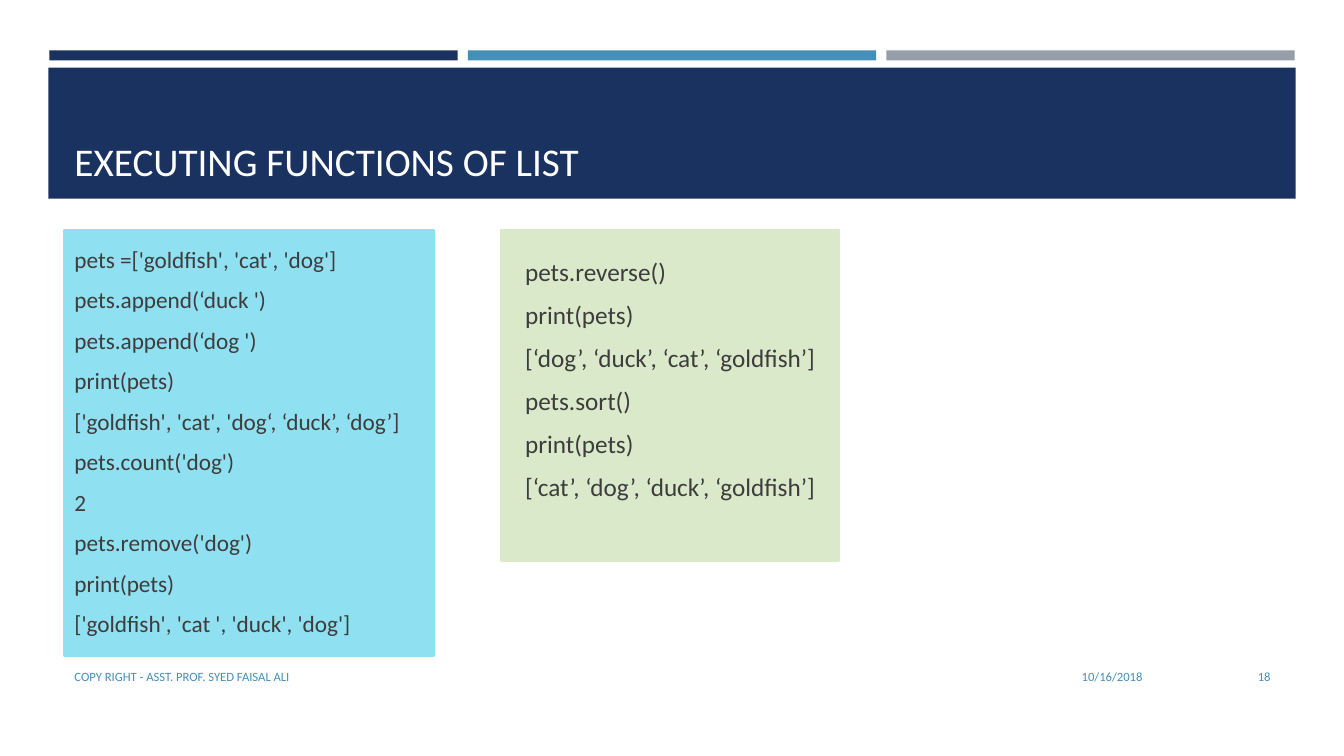
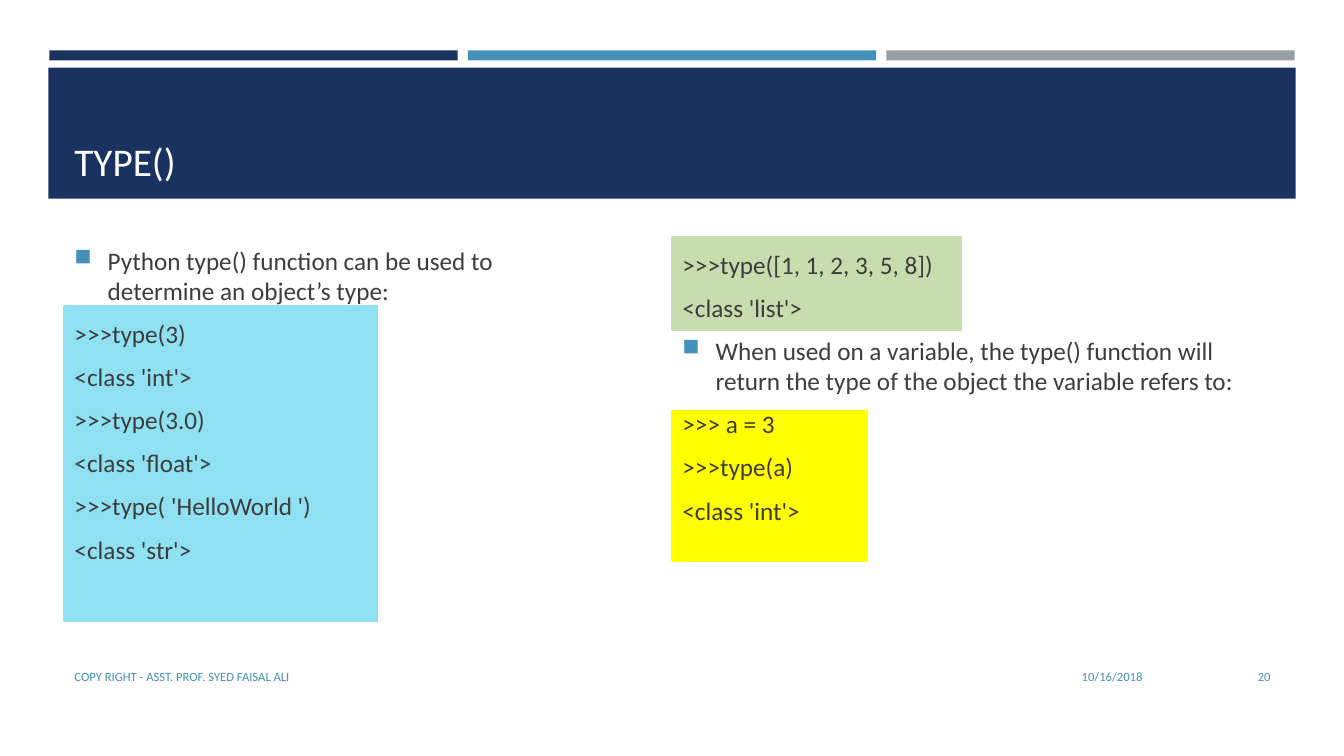
import pptx
import pptx.util
import pptx.dml.color
import pptx.enum.shapes
import pptx.enum.text
import pptx.oxml.ns
from lxml import etree

Inches = pptx.util.Inches
Pt = pptx.util.Pt
RGBColor = pptx.dml.color.RGBColor
ALIGN = pptx.enum.text.PP_ALIGN
ANCHOR = pptx.enum.text.MSO_ANCHOR

FONT = "Calibri"
NAVY = RGBColor(0x1A, 0x32, 0x60)
BLUE = RGBColor(0x45, 0x90, 0xB8)
GRAY = RGBColor(0x96, 0x9F, 0xA7)
WHITE = RGBColor(0xFF, 0xFF, 0xFF)
TEXT = RGBColor(0x3D, 0x3D, 0x3D)
CYAN = RGBColor(0x8F, 0xE0, 0xF1)
PALE_GREEN = RGBColor(0xDA, 0xE9, 0xC9)
GREEN = RGBColor(0xC7, 0xDD, 0xAD)
YELLOW = RGBColor(0xFF, 0xFF, 0x00)

BULLET = "■ "
LEFT = 0.64
FOOTER_TOP, FOOTER_HEIGHT = 6.51, 0.4


def add_rect(s, box, color, outlined=False):
    sp = s.shapes.add_shape(pptx.enum.shapes.MSO_SHAPE.RECTANGLE, *map(Inches, box))
    sp.shadow.inherit = False
    sp.fill.solid()
    sp.fill.fore_color.rgb = color
    if outlined:
        sp.line.color.rgb = color
        sp.line.width = Pt(1.75)
    else:
        sp.line.fill.background()


def add_text(s, box, lines, size, color, align=ALIGN.LEFT, anchor=ANCHOR.TOP):
    tf = s.shapes.add_textbox(*map(Inches, box)).text_frame
    tf.word_wrap = True
    tf.vertical_anchor = anchor
    tf.text = "\n".join(line.removeprefix(BULLET) for line in lines)
    for p in tf.paragraphs:
        p.alignment = align
        for r in p.runs:
            r.font.name = FONT
            r.font.size = Pt(size)
            r.font.color.rgb = color
    return tf


def add_bullet(p):
    pPr = p._p.get_or_add_pPr()
    pPr.set("marL", str(Inches(0.33)))
    pPr.set("indent", str(Inches(-0.33)))
    qn = pptx.oxml.ns.qn
    clr = etree.SubElement(pPr, qn("a:buClr"))
    etree.SubElement(clr, qn("a:srgbClr"), val=str(BLUE))
    etree.SubElement(pPr, qn("a:buSzPct"), val="92000")
    etree.SubElement(pPr, qn("a:buChar"), char=BULLET.strip())


def add_body(s, box, lines, size=18):
    tf = add_text(s, box, lines, size, TEXT)
    for p, line in zip(tf.paragraphs, lines):
        p.space_before = Pt(round(size * 0.18, 1))
        p.space_after = Pt(6)
        if line.startswith(BULLET):
            add_bullet(p)


def add_footer(s, number):
    for left, width, text, align in (
        (LEFT, 7.56, "COPY RIGHT - ASST. PROF. SYED FAISAL ALI", ALIGN.LEFT),
        (8.32, 3.11, "10/16/2018", ALIGN.RIGHT),
        (11.55, 1.15, str(number), ALIGN.RIGHT),
    ):
        add_text(s, (left, FOOTER_TOP, width, FOOTER_HEIGHT), [text], 9, BLUE,
                 align, ANCHOR.MIDDLE)


def add_slide(prs, title, number, panels, bodies):
    s = prs.slides.add_slide(prs.slide_layouts[6])
    for i, color in enumerate((NAVY, BLUE, GRAY)):
        add_rect(s, (0.49 + 4.15 * i, 0.5, 4.05, 0.1), color)
    add_rect(s, (0.48, 0.67, 12.37, 1.3), NAVY)
    add_text(s, (LEFT, 0.77, 12.06, 1.11), [title], 28, WHITE, anchor=ANCHOR.BOTTOM)
    for box, color in panels:
        add_rect(s, box, color, outlined=True)
    for body in bodies:
        add_body(s, *body)
    add_footer(s, number)


prs = pptx.Presentation()
prs.slide_width = Inches(13.33)
prs.slide_height = Inches(7.5)

add_slide(
    prs, "EXECUTING FUNCTIONS OF LIST", 18,
    panels=[
        ((4.97, 2.28, 3.35, 3.28), PALE_GREEN),
        ((LEFT, 2.28, 3.66, 4.23), CYAN),
    ],
    bodies=[
        ((LEFT, 2.38, 4.47, 4.02), [
            "pets =['goldfish', 'cat', 'dog']",
            "pets.append(‘duck ')",
            "pets.append(‘dog ')",
            "print(pets)",
            "['goldfish', 'cat', 'dog‘, ‘duck’, ‘dog’]",
            "pets.count('dog')",
            "2",
            "pets.remove('dog')",
            "print(pets)",
            "['goldfish', 'cat ', 'duck', 'dog']",
        ], 16.6),
        ((5.11, 2.49, 4.47, 4.02), [
            "pets.reverse()",
            "print(pets)",
            "[‘dog’, ‘duck’, ‘cat’, ‘goldfish’]",
            "pets.sort()",
            "print(pets)",
            "[‘cat’, ‘dog’, ‘duck’, ‘goldfish’]",
        ]),
    ],
)

add_slide(
    prs, "TYPE()", 20,
    panels=[
        ((6.67, 4.08, 1.93, 1.48), YELLOW),
        ((6.67, 2.35, 2.86, 0.92), GREEN),
        ((LEFT, 3.04, 3.1, 3.12), CYAN),
    ],
    bodies=[
        ((LEFT, 2.38, 5.19, 4.02), [
            BULLET + "Python type() function can be used to determine an object’s type:",
            ">>>type(3)",
            "<class 'int'>",
            ">>>type(3.0)",
            "<class 'float'>",
            ">>>type( 'HelloWorld ')",
            "<class 'str'>",
        ]),
        ((6.67, 2.42, 5.72, 4.02), [
            ">>>type([1, 1, 2, 3, 5, 8])",
            "<class 'list'>",
            BULLET + "When used on a variable, the type() function will return "
            "the type of the object the variable refers to:",
            ">>> a = 3",
            ">>>type(a)",
            "<class 'int'>",
        ]),
    ],
)

prs.save("out.pptx")
